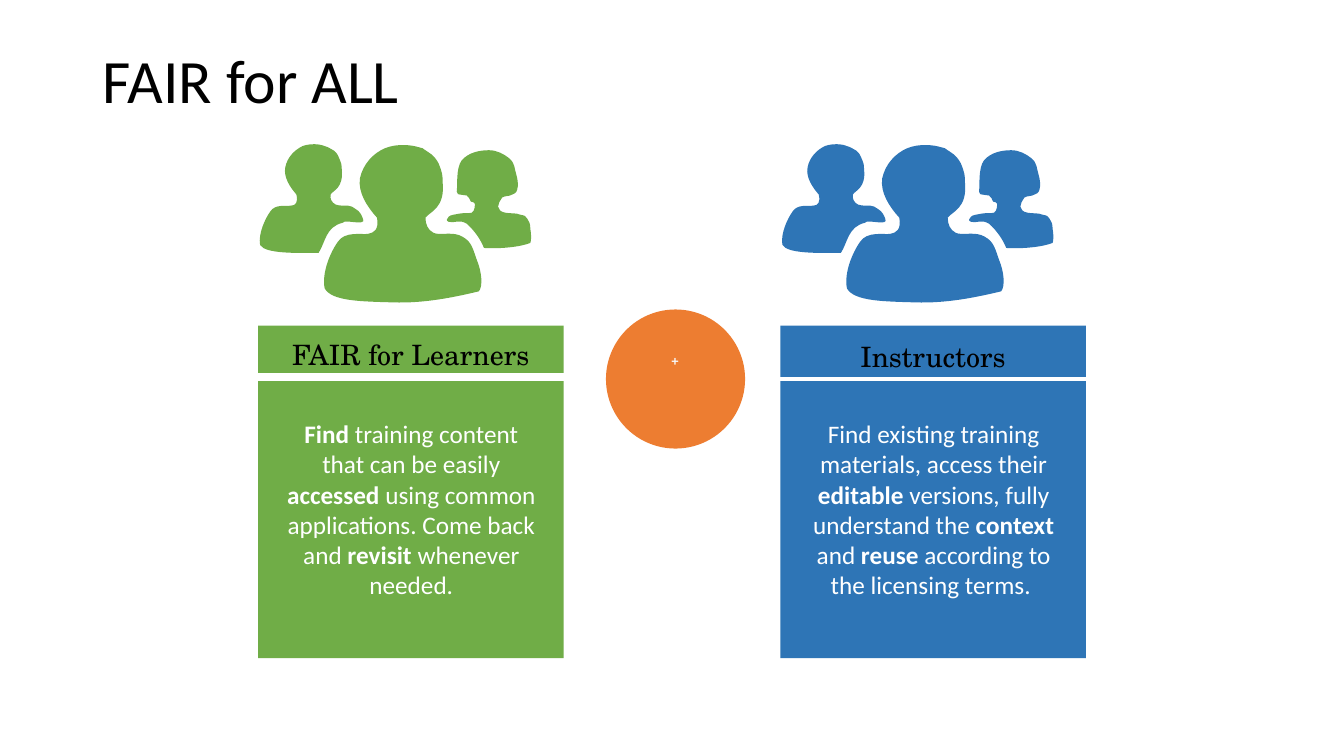
from lxml import etree
from pptx import Presentation
from pptx.dml.color import RGBColor
from pptx.enum.shapes import MSO_SHAPE
from pptx.enum.text import MSO_ANCHOR, MSO_AUTO_SIZE, PP_ALIGN
from pptx.oxml.ns import qn
from pptx.util import Inches, Pt

RECTANGLE, OVAL = MSO_SHAPE.RECTANGLE, MSO_SHAPE.OVAL
LEFT, CENTER = PP_ALIGN.LEFT, PP_ALIGN.CENTER
TOP, MIDDLE = MSO_ANCHOR.TOP, MSO_ANCHOR.MIDDLE
GROW = MSO_AUTO_SIZE.SHAPE_TO_FIT_TEXT

COLORS = {"green": "70AD47", "blue": "2E75B6", "orange": "ED7D31",
          "black": "000000", "white": "FFFFFF", "plus": "F8F8F8"}
BODY_FONT, HEADER_FONT, PLUS_FONT = "Calibri", "TeX Gyre Schola", "Noto Sans CJK SC"
TIGHT_INSETS = (0.07, 0.03)
DEFAULT_INSETS = (0.1, 0.05)

# Columns: the icons are outlined for the first one and shifted for the second
FIRST_LEFT, COLUMN_STEP, COLUMN_WIDTH = 2.56, 5.18, 3.03

# Each outline: a start point, then cubic curves (two controls and an end point)
FRONT_PERSON = ((4.19, 1.47), [
    (4.26, 1.52, 4.3, 1.53, 4.35, 1.62), (4.39, 1.72, 4.39, 1.74, 4.39, 1.8),
    (4.42, 2.07, 4.26, 2.1, 4.22, 2.16), (4.22, 2.22, 4.24, 2.28, 4.3, 2.31),
    (4.36, 2.34, 4.5, 2.29, 4.59, 2.35), (4.68, 2.4, 4.69, 2.47, 4.73, 2.58),
    (4.78, 2.7, 4.79, 2.84, 4.75, 2.89), (4.5, 2.95, 4.21, 3.01, 3.9, 3),
    (3.59, 2.99, 3.29, 2.99, 3.22, 2.86), (3.19, 2.7, 3.28, 2.5, 3.35, 2.4),
    (3.42, 2.29, 3.59, 2.33, 3.65, 2.32), (3.71, 2.31, 3.76, 2.28, 3.74, 2.16),
    (3.64, 2.05, 3.55, 1.91, 3.57, 1.77), (3.6, 1.63, 3.7, 1.52, 3.82, 1.47),
    (3.94, 1.42, 4.09, 1.44, 4.15, 1.46)])
LEFT_PERSON = ((3.25, 1.46), [
    (3.3, 1.49, 3.33, 1.49, 3.36, 1.56), (3.39, 1.63, 3.39, 1.64, 3.39, 1.68),
    (3.41, 1.87, 3.3, 1.89, 3.28, 1.93), (3.27, 1.97, 3.29, 2.01, 3.33, 2.03),
    (3.37, 2.05, 3.45, 2.03, 3.49, 2.05), (3.55, 2.09, 3.57, 2.09, 3.6, 2.17),
    (3.64, 2.25, 3.42, 2.17, 3.4, 2.21), (3.23, 2.25, 3.23, 2.4, 3.16, 2.51),
    (2.95, 2.51, 2.63, 2.52, 2.58, 2.43), (2.56, 2.32, 2.63, 2.17, 2.68, 2.1),
    (2.73, 2.02, 2.84, 2.05, 2.89, 2.04), (2.93, 2.04, 2.96, 2.01, 2.94, 1.93),
    (2.88, 1.86, 2.81, 1.76, 2.83, 1.66), (2.85, 1.56, 2.92, 1.49, 3, 1.45),
    (3.08, 1.42, 3.18, 1.43, 3.22, 1.45)])
RIGHT_PERSON = ((4.53, 1.9), [
    (4.54, 1.84, 4.52, 1.67, 4.58, 1.59), (4.65, 1.51, 4.76, 1.49, 4.85, 1.49),
    (4.93, 1.49, 5, 1.53, 5.05, 1.57), (5.11, 1.62, 5.1, 1.67, 5.12, 1.73),
    (5.14, 1.8, 5.14, 1.84, 5.13, 1.88), (5.12, 1.92, 5.1, 1.92, 5.08, 1.93),
    (5.05, 1.95, 5.01, 1.94, 4.98, 1.96), (4.96, 1.99, 4.94, 2.02, 4.94, 2.05),
    (4.95, 2.08, 4.96, 2.1, 5.01, 2.11), (5.05, 2.12, 5.12, 2.11, 5.16, 2.13),
    (5.21, 2.14, 5.21, 2.14, 5.23, 2.17), (5.25, 2.2, 5.26, 2.22, 5.26, 2.27),
    (5.27, 2.32, 5.27, 2.39, 5.26, 2.41), (5.16, 2.45, 4.96, 2.47, 4.8, 2.46),
    (4.77, 2.38, 4.7, 2.28, 4.63, 2.22), (4.56, 2.17, 4.49, 2.22, 4.45, 2.2),
    (4.42, 2.19, 4.43, 2.17, 4.45, 2.15), (4.47, 2.13, 4.51, 2.13, 4.55, 2.12),
    (4.6, 2.11, 4.64, 2.12, 4.68, 2.11), (4.71, 2.09, 4.71, 2.04, 4.71, 2.02),
    (4.71, 2, 4.68, 2.01, 4.67, 2), (4.65, 1.98, 4.66, 1.95, 4.63, 1.94),
    (4.61, 1.93, 4.58, 1.94, 4.56, 1.93), (4.54, 1.93, 4.54, 1.92, 4.54, 1.92)])

# Audience: left edge, colour, header, header height, body as (text, bold) runs
AUDIENCES = [
    (FIRST_LEFT, "green", "FAIR for Learners", 0.47, [
        ("Find", True), (" training content that can be easily ", False),
        ("accessed", True), (" using common applications. Come back and ", False),
        ("revisit", True), (" whenever needed.", False)]),
    (FIRST_LEFT + COLUMN_STEP, "blue", "Instructors", 0.51, [
        ("Find existing training materials, access their ", False),
        ("editable", True), (" versions, fully understand the ", False),
        ("context", True), (" and ", False), ("reuse", True),
        (" according to the licensing terms. ", False)]),
]


def rgb(color):
    return RGBColor.from_string(COLORS[color])


def paint(shape, color):
    shape.shadow.inherit = False
    shape.fill.solid()
    shape.fill.fore_color.rgb = rgb(color)
    shape.line.fill.background()


def write(shape, runs, size, font, color, align=CENTER, anchor=TOP,
          insets=TIGHT_INSETS, spacing=None, wrap=True):
    frame = shape.text_frame
    frame.word_wrap = wrap
    frame.vertical_anchor = anchor
    frame.margin_left = frame.margin_right = Inches(insets[0])
    frame.margin_top = frame.margin_bottom = Inches(insets[1])
    paragraph = frame.paragraphs[0]
    paragraph.alignment = align
    paragraph.line_spacing = spacing
    for text, bold in runs:
        run = paragraph.add_run()
        run.text = text
        run.font.size = Pt(size)
        run.font.name = font
        run.font.bold = bold
        run.font.color.rgb = rgb(color)


def add_block(slide, kind, left, top, width, height, color):
    shape = slide.shapes.add_shape(
        kind, Inches(left), Inches(top), Inches(width), Inches(height))
    paint(shape, color)
    return shape


def add_text_box(slide, left, top, width, height):
    return slide.shapes.add_textbox(
        Inches(left), Inches(top), Inches(width), Inches(height))


def bend(shape):
    """Turn every three straight segments of the outline into one cubic curve."""
    lines = list(shape.element.iter(qn("a:lnTo")))
    for first, second, third in zip(lines[::3], lines[1::3], lines[2::3]):
        outline = first.getparent()
        curve = etree.Element(qn("a:cubicBezTo"))
        outline.insert(outline.index(first), curve)
        for line in (first, second, third):
            curve.append(line[0])
            outline.remove(line)


def add_person(group, start, curves, shift, color):
    points = [(Inches(curve[i] + shift), Inches(curve[i + 1]))
              for curve in curves for i in (0, 2, 4)]
    builder = group.shapes.build_freeform(Inches(start[0] + shift), Inches(start[1]))
    builder.add_line_segments(points, close=True)
    person = builder.convert_to_shape()
    bend(person)
    paint(person, color)


def add_people_icon(slide, left, color):
    group = slide.shapes.add_group_shape()
    for start, curves in (FRONT_PERSON, LEFT_PERSON, RIGHT_PERSON):
        add_person(group, start, curves, left - FIRST_LEFT, color)


def add_title(slide, text):
    title = slide.shapes.title
    title.left, title.top = Inches(0.92), Inches(0.1)
    title.width, title.height = Inches(11.5), Inches(1.45)
    write(title, [(text, False)], 44, BODY_FONT, "black", align=LEFT,
          anchor=MIDDLE, insets=DEFAULT_INSETS, spacing=0.9)


def add_panel(slide, left, color, heading, heading_height):
    header = add_block(slide, RECTANGLE, left, 3.23, COLUMN_WIDTH, heading_height, color)
    write(header, [(heading, False)], 20, HEADER_FONT, "black",
          anchor=MIDDLE, spacing=1.3)
    add_block(slide, RECTANGLE, left, 3.78, COLUMN_WIDTH, 2.75, color)


def add_body(slide, left, runs):
    box = add_text_box(slide, left + 0.2, 4.12, 2.64, 1.89)
    write(box, runs, 18, BODY_FONT, "white")
    box.text_frame.auto_size = GROW


def add_plus(slide):
    add_block(slide, OVAL, 6.01, 3.07, 1.38, 1.38, "orange")
    write(add_text_box(slide, 6.25, 3.42, 0.89, 0.67), [("+", True)], 9,
          PLUS_FONT, "plus", insets=DEFAULT_INSETS, spacing=1.3, wrap=False)


def main():
    presentation = Presentation()
    presentation.slide_width, presentation.slide_height = Inches(13.33), Inches(7.5)
    slide = presentation.slides.add_slide(presentation.slide_layouts[5])
    add_title(slide, "FAIR for ALL")

    # Icons lie behind the panels, and the texts on top
    for left, color, *_ in AUDIENCES:
        add_people_icon(slide, left, color)
    for left, color, heading, height, _ in AUDIENCES:
        add_panel(slide, left, color, heading, height)
    for left, *_, body in AUDIENCES:
        add_body(slide, left, body)
    add_plus(slide)
    presentation.save("out.pptx")


if __name__ == "__main__":
    main()
